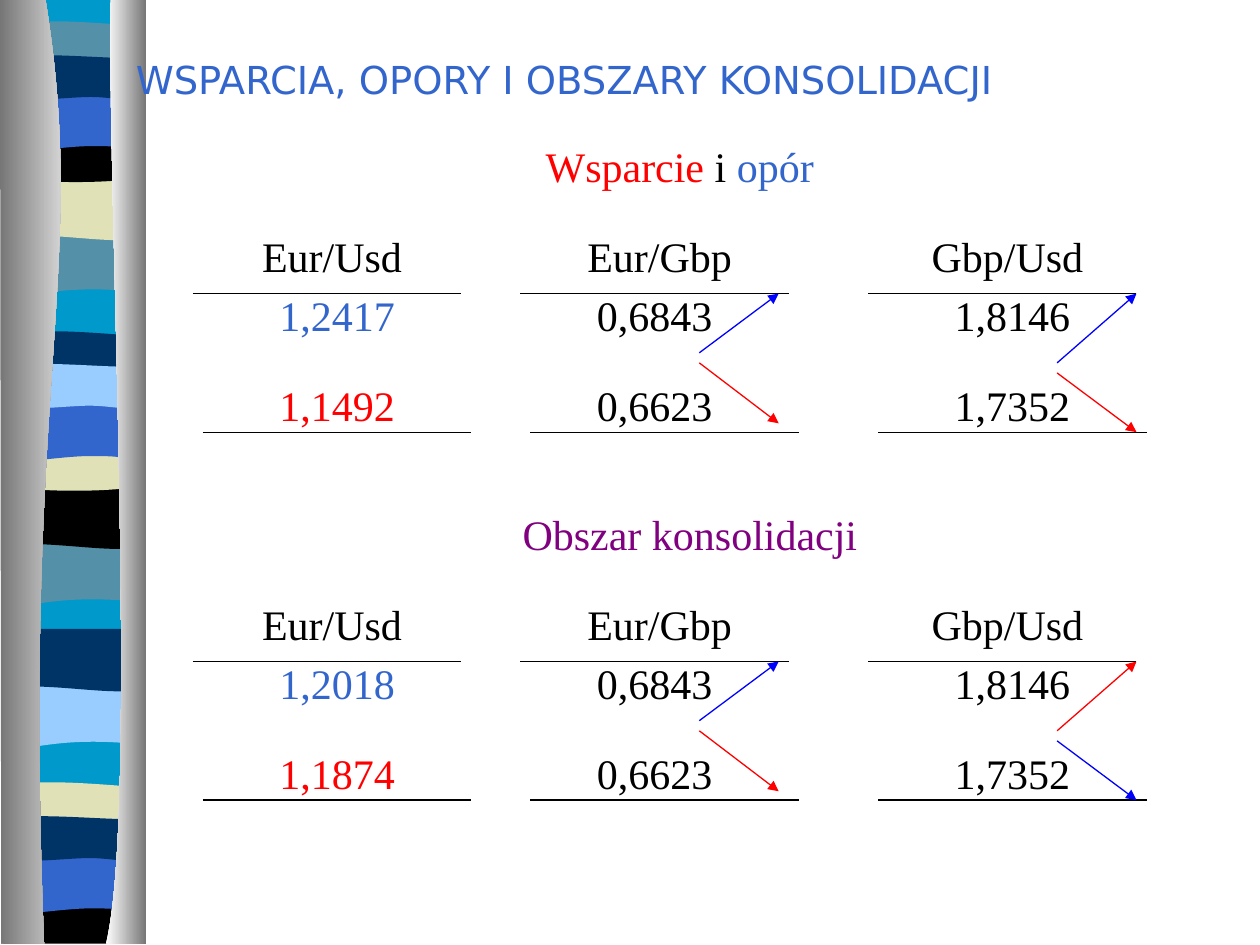
from lxml.etree import SubElement
from pptx import Presentation
from pptx.dml.color import RGBColor
from pptx.enum.shapes import MSO_CONNECTOR
from pptx.enum.text import MSO_ANCHOR, PP_ALIGN
from pptx.oxml.ns import qn
from pptx.util import Inches, Pt

BLACK, BLUE, RED, ARROW_BLUE = "000000", "3366CC", "FF0000", "0000FF"
TEAL, SAND, NAVY, SKY, CYAN = "5490A8", "E1E1B7", "003366", "99CCFF", "0099CC"
GREY, WHITE, PURPLE = "767676", "FFFFFF", "800080"
SERIF, SANS = "Times New Roman", "DejaVu Sans"

BANDS = {
    "swell": [(1.08, 0), (1.08, 0.47), ((0.33, 0.39), (0.18, 0.55), (0, 0.47)), (0, 0)],
    "dip": [(1.08, 0), (1.08, 0.47), ((0.9, 0.55), (0.33, 0.42), (0, 0.47)), (0, 0)],
    "lens": [(1.08, 0.05), (1.08, 0.29), ((0.9, 0.33), (0.18, 0.33), (0, 0.29)), (0, 0.05),
             ((0.06, 0), (0.23, 0.01), (0.41, 0.01)), ((0.59, 0.01), (0.94, 0.04), (1.08, 0.05))],
    "bowl": [(1.08, 0), (1.08, 0.32), ((0.9, 0.38), (0.18, 0.38), (0, 0.32)), (0, 0),
             ((0.66, 0.05), (0.85, 0), (1.08, 0))],
    "foot": [(1.08, 0), (1.08, 0.37), (0, 0.37), (0, 0), ((0.66, 0.05), (0.85, 0), (1.08, 0))],
    "arch": [(1.08, 0), (1.08, 0.47), ((0.91, 0.42), (0.84, 0.42), (0.66, 0.42)),
             ((0.48, 0.42), (0.16, 0.47), (0, 0.47)), (0, 0)],
    "wave": [(1.08, 0.05), (1.08, 0.36), ((1.01, 0.41), (0.84, 0.36), (0.66, 0.36)),
             ((0.48, 0.36), (0.11, 0.41), (0, 0.36)), (0, 0.05),
             ((0.15, 0), (0.73, 0.05), (0.91, 0.05)), ((1.09, 0.05), (1.04, 0.05), (1.08, 0.05))],
}
STRIPES = [
    ("swell", 0.06, 1.85, TEAL), ("dip", 0.06, 1.41, SAND), ("lens", 0.06, 0.16, TEAL),
    ("bowl", 0.06, 1.08, BLACK), ("arch", 0.06, 0.74, BLUE), ("wave", 0.06, 0.41, NAVY),
    ("swell", 0.05, 4.31, TEAL), ("dip", 0.05, 3.86, BLACK), ("lens", 0.05, 2.62, NAVY),
    ("bowl", 0.05, 3.53, SAND), ("arch", 0.05, 3.2, BLUE), ("wave", 0.05, 2.86, SKY),
    ("swell", 0.06, 5.44, SKY), ("dip", 0.06, 4.99, NAVY), ("lens", 0.05, 6.2, SAND),
    ("foot", 0.05, 7.12, BLACK), ("arch", 0.05, 6.79, BLUE), ("wave", 0.05, 6.45, NAVY),
]
COLUMN = [(1.14, -0.01), (1.14, 7.47), (0.06, 7.47), (0.06, -0.01)]
LEFT_EDGE = [(0.36, -0.01), ((0.71, 2.16), (0.17, 2.96), (0.35, 7.49)), (0.01, 7.49), (0, -0.01)]
RIGHT_EDGE = [(0.88, -0.01), ((0.84, 1.25), (1.11, 6.46), (0.84, 7.49)), (1.16, 7.49), (1.16, 0)]


def color(value):
    """Return the colour for a hex string."""
    return RGBColor.from_string(value)


def is_curve(part):
    """Tell whether an outline part is the three points of a Bezier curve."""
    return len(part) == 3


def bend(shape, parts):
    """Turn the segments that belong to curves into Bezier segments."""
    segments = iter(shape.element.findall(".//" + qn("a:lnTo")))
    for part in parts:
        segment = next(segments)
        if is_curve(part):
            segment.tag = qn("a:cubicBezTo")
            for _ in range(2):
                extra = next(segments)
                segment.append(extra[0])
                extra.getparent().remove(extra)


def add_outline(shapes, outline, colors, left=0, top=0):
    """Draw a closed outline with one colour or a left-to-right gradient of two."""
    points = []
    for part in outline:
        points.extend(part if is_curve(part) else [part])
    corners = [(Inches(left + x), Inches(top + y)) for x, y in points]
    builder = shapes.build_freeform(*corners[0])
    builder.add_line_segments(corners[1:], close=True)
    shape = builder.convert_to_shape()
    bend(shape, outline[1:])
    shape.shadow.inherit = False
    shape.line.fill.background()
    if len(colors) == 1:
        shape.fill.solid()
        shape.fill.fore_color.rgb = color(colors[0])
        return
    shape.fill.gradient()
    shape.fill.gradient_angle = 0
    for stop, value in zip(shape.fill.gradient_stops, colors):
        stop.color.rgb = color(value)


def add_text(shapes, left, top, width, spans, height=0.5, size=24, font=SERIF,
             align=PP_ALIGN.CENTER, anchor=MSO_ANCHOR.TOP):
    """Add a one-paragraph text box from (text, colour) spans."""
    box = shapes.add_textbox(Inches(left), Inches(top), Inches(width), Inches(height))
    frame = box.text_frame
    frame.word_wrap = True
    frame.vertical_anchor = anchor
    paragraph = frame.paragraphs[0]
    paragraph.alignment = align
    paragraph.font.size = Pt(size)
    paragraph.font.name = font
    for text, value in spans:
        span = paragraph.add_run()
        span.text = text
        span.font.color.rgb = color(value)


def add_line(shapes, start, end, value=BLACK, arrow=False):
    """Add a thin straight line, with an arrowhead at its end if asked."""
    line = shapes.add_connector(MSO_CONNECTOR.STRAIGHT, *map(Inches, start + end))
    line.line.color.rgb = color(value)
    line.line.width = Pt(0.75)
    properties = line.element.spPr
    if arrow:
        SubElement(properties.find(qn("a:ln")), qn("a:tailEnd"), type="triangle")
    SubElement(properties, qn("a:effectLst"))


def add_ribbon(page):
    """Draw the striped ribbon between its two shaded edges."""
    shapes = page.shapes.add_group_shape().shapes
    add_outline(shapes, COLUMN, [CYAN])
    for band, left, top, value in STRIPES:
        add_outline(shapes, BANDS[band], [value], left, top)
    add_outline(shapes, LEFT_EDGE, [GREY, WHITE])
    add_outline(shapes, RIGHT_EDGE, [WHITE, GREY])


def add_quote(shapes, left, top, value_left, pair, high, low, colors):
    """Add a currency pair with its upper and lower level between two rules."""
    add_line(shapes, (left, top), (left + 2.13, top))
    add_line(shapes, (left + 0.08, top + 1.1), (left + 2.21, top + 1.1))
    add_text(shapes, left + 0.08, top - 0.55, 2.05, [(pair, BLACK)])
    add_text(shapes, value_left, top - 0.08, 1.65, [(high, colors[0])])
    add_text(shapes, value_left, top + 0.63, 1.65, [(low, colors[1])])


def add_fork(shapes, left, top, start, end, colors):
    """Add a rising and a falling arrow that open to the right."""
    add_line(shapes, (left, top + start), (left + 0.63, top), colors[0], arrow=True)
    add_line(shapes, (left, top + start + 0.08), (left + 0.63, top + end), colors[1], arrow=True)


def add_panel(page, top, high, low, last_fork):
    """Add one row of three currency pairs with its arrows."""
    shapes = page.shapes.add_group_shape().shapes
    add_quote(shapes, 1.53, top, 1.85, "Eur/Usd", high, low, (BLUE, RED))
    add_quote(shapes, 4.13, top, 4.37, "Eur/Gbp", "0,6843", "0,6623", (BLACK, BLACK))
    add_quote(shapes, 6.89, top, 7.21, "Gbp/Usd", "1,8146", "1,7352", (BLACK, BLACK))
    add_fork(shapes, 5.55, top, 0.47, 1.03, (ARROW_BLUE, RED))
    add_fork(shapes, 8.39, top, 0.55, 1.1, last_fork)


def main():
    """Build the slide and save it."""
    deck = Presentation()
    deck.slide_width, deck.slide_height = Inches(10), Inches(7.5)
    page = deck.slides.add_slide(deck.slide_layouts[6])
    add_ribbon(page)
    add_text(page.shapes, 0.98, 0.21, 8.81, [("WSPARCIA, OPORY I OBSZARY KONSOLIDACJI", BLUE)],
             0.84, 22, SANS, PP_ALIGN.LEFT, MSO_ANCHOR.MIDDLE)
    add_panel(page, 2.33, "1,2417", "1,1492", (ARROW_BLUE, RED))
    add_panel(page, 5.25, "1,2018", "1,1874", (RED, ARROW_BLUE))
    add_text(page.shapes, 3.82, 1.07, 3.15, [("Wsparcie", RED), (" i ", BLACK), ("opór", BLUE)])
    add_text(page.shapes, 3.9, 3.99, 3.15, [("Obszar konsolidacji", PURPLE)])
    deck.save("out.pptx")


if __name__ == "__main__":
    main()
